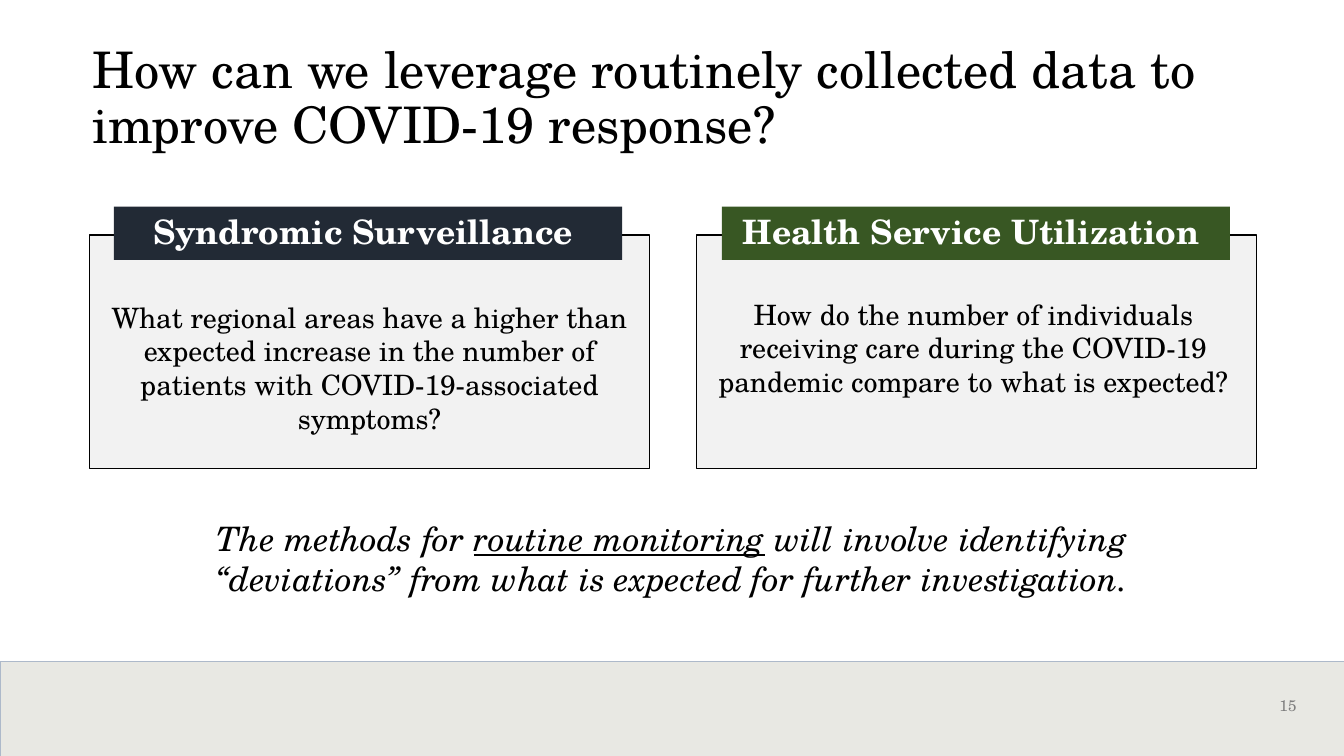
from lxml.etree import SubElement
from pptx import Presentation
from pptx.dml.color import RGBColor
from pptx.enum.shapes import MSO_SHAPE
from pptx.enum.text import MSO_ANCHOR, PP_ALIGN
from pptx.oxml.ns import qn
from pptx.util import Inches, Pt

FONT = "TeX Gyre Schola"
BLACK = RGBColor(0x00, 0x00, 0x00)
WHITE = RGBColor(0xFF, 0xFF, 0xFF)
GRAY = RGBColor(0x7F, 0x7F, 0x7F)
PANEL = RGBColor(0xF2, 0xF2, 0xF2)
NAVY = RGBColor(0x22, 0x2A, 0x35)
GREEN = RGBColor(0x38, 0x57, 0x23)
FOOTER = RGBColor(0xD3, 0xD3, 0xC9)
FOOTER_LINE = RGBColor(0xAD, 0xB9, 0xCA)

deck = Presentation()
deck.slide_width = Inches(13.33)
deck.slide_height = Inches(7.5)
page = deck.slides.add_slide(deck.slide_layouts[6])


def add_rectangle(left, top, width, height, fill, line=None, line_width=1):
    shape = page.shapes.add_shape(
        MSO_SHAPE.RECTANGLE, Inches(left), Inches(top), Inches(width), Inches(height))
    shape.shadow.inherit = False
    shape.fill.solid()
    shape.fill.fore_color.rgb = fill
    if line is None:
        shape.line.fill.background()
    else:
        shape.line.color.rgb = line
        shape.line.width = Pt(line_width)
    return shape


def write(box, *texts, size=20, color=BLACK, bold=False, italic=False, underlined=None,
          align=PP_ALIGN.CENTER, spacing=1.0, inset=0.1, anchor=MSO_ANCHOR.TOP):
    frame = box.text_frame
    frame.word_wrap = True
    frame.margin_left = Inches(inset)
    frame.vertical_anchor = anchor
    para = frame.paragraphs[0]
    para.alignment = align
    para.line_spacing = spacing
    for text in texts:
        span = para.add_run()
        span.text = text
        span.font.name = FONT
        span.font.size = Pt(size)
        span.font.color.rgb = color
        span.font.bold = bold
        span.font.italic = italic
        span.font.underline = text == underlined


footer = add_rectangle(0, 6.56, 13.33, 0.94, FOOTER, FOOTER_LINE, 0.5)
footer_color = footer.fill._xPr.find(qn("a:solidFill"))[0]
SubElement(footer_color, qn("a:alpha")).set("val", "50000")

number = page.shapes.add_textbox(Inches(12.39), Inches(6.86), Inches(0.7), Inches(0.37))
write(number, "15", size=11, color=GRAY, align=PP_ALIGN.LEFT, inset=0.3)

title = page.shapes.add_textbox(Inches(0.92), Inches(0.4), Inches(11.5), Inches(1.12))
write(title, "How can we leverage routinely collected data to improve COVID-19 response?",
      size=36, align=PP_ALIGN.LEFT, spacing=0.9, inset=0)

topics = [
    (0.89, 1.13, NAVY, "Syndromic Surveillance", 0.89, 2.93,
     "What regional areas have a higher than expected increase in the number of "
     "patients with COVID-19-associated symptoms?"),
    (6.91, 7.16, GREEN, "Health Service Utilization", 6.88, 2.9,
     "How do the number of individuals receiving care during the COVID-19 "
     "pandemic compare to what is expected?"),
]
for panel_left, header_left, color, heading, text_left, text_top, question in topics:
    add_rectangle(panel_left, 2.33, 5.55, 2.32, PANEL, BLACK)
    header = add_rectangle(header_left, 2.05, 5.04, 0.53, color)
    write(header, heading, size=24, color=WHITE, bold=True, spacing=0.9, inset=0,
          anchor=MSO_ANCHOR.MIDDLE)
    box = page.shapes.add_textbox(
        Inches(text_left), Inches(text_top), Inches(5.55), Inches(1.11))
    write(box, question)

summary = page.shapes.add_textbox(Inches(1.13), Inches(5.09), Inches(11.07), Inches(0.91))
write(summary, "The methods for ", "routine monitoring",
      " will involve identifying “deviations” from what is expected for further investigation.",
      size=24, italic=True, underlined="routine monitoring")

deck.save("out.pptx")
